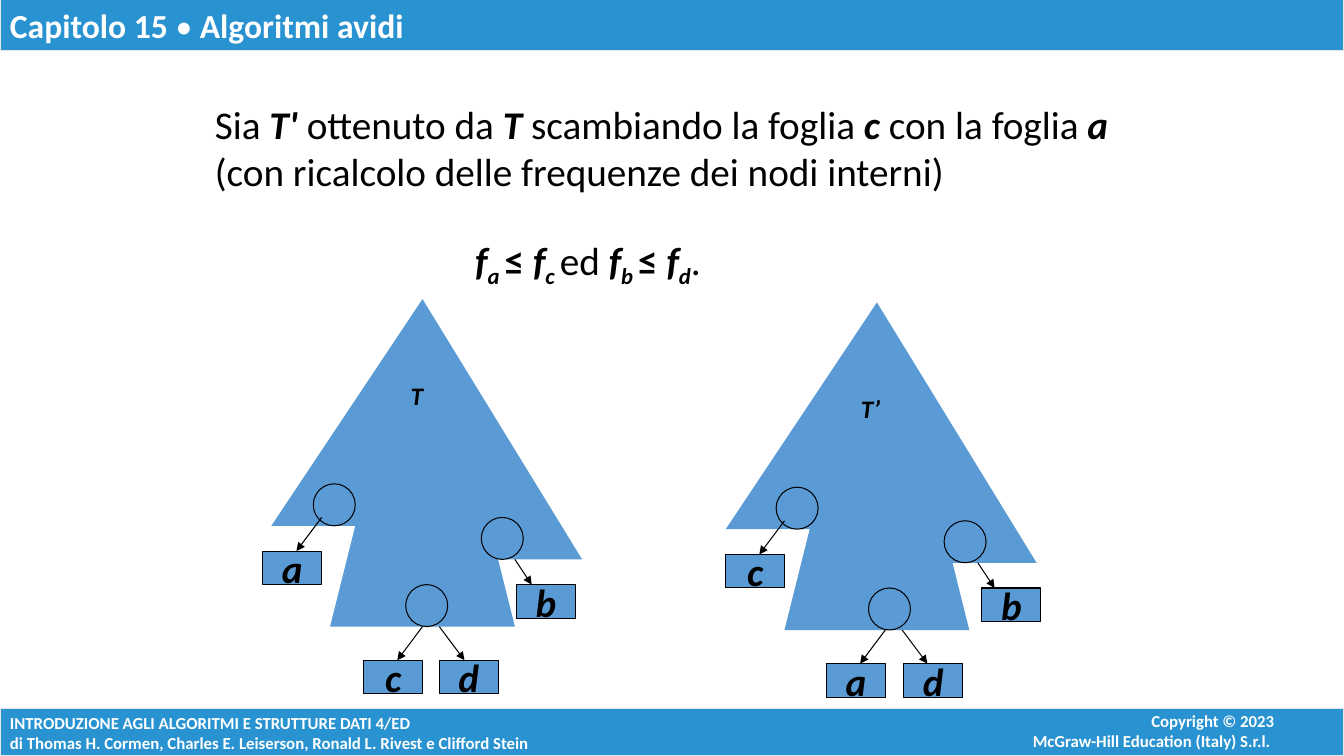
"""Build the slide on exchanging two leaves of a greedy code tree."""
from lxml.etree import SubElement
from pptx import Presentation
from pptx.dml.color import RGBColor
from pptx.enum.shapes import MSO_CONNECTOR, MSO_SHAPE
from pptx.enum.text import MSO_ANCHOR, PP_ALIGN
from pptx.oxml.ns import qn
from pptx.util import Inches, Pt

THEME = {
    "font": "Calibri",
    "bar": RGBColor.from_string("2993D1"),
    "bar_edge": RGBColor.from_string("E7E6E6"),
    "tree": RGBColor.from_string("5B9BD5"),
    "ink": RGBColor.from_string("000000"),
    "light": RGBColor.from_string("FFFFFF"),
    "header": Pt(24), "body": Pt(28), "label": Pt(18), "footer": Pt(12),
    "line": Pt(0.75),
}
COLUMNS, ROWS = 160, 90
UNIT = Inches(1 / 12)
LEAF_WIDTH, LEAF_HEIGHT, NODE_SIZE = 7, 4, 5

presentation = Presentation()
presentation.slide_width = COLUMNS * UNIT
presentation.slide_height = ROWS * UNIT
slide = presentation.slides.add_slide(presentation.slide_layouts[6])
shapes = slide.shapes


def add_box(preset, column, row, width, height, fill, edge):
    """Add a preset shape, or a text box without a preset, on the grid."""
    place = [round(length * UNIT) for length in (column, row, width, height)]
    if preset is None:
        return shapes.add_textbox(*place)
    shape = shapes.add_shape(preset, *place)
    shape.shadow.inherit = False
    shape.fill.solid()
    shape.fill.fore_color.rgb = fill
    shape.line.color.rgb = edge
    shape.line.width = THEME["line"]
    return shape


def write(shape, paragraphs, size, color, style="", align=PP_ALIGN.LEFT, anchor=MSO_ANCHOR.TOP, wrap=True):
    """Write paragraphs of (text, style) runs; styles are b, i and s for subscript."""
    frame = shape.text_frame
    frame.word_wrap = wrap
    frame.vertical_anchor = anchor
    for index, runs in enumerate(paragraphs):
        paragraph = frame.add_paragraph() if index else frame.paragraphs[0]
        paragraph.alignment = align
        font = paragraph.font
        font.name, font.size, font.color.rgb = THEME["font"], size, color
        font.bold, font.italic = "b" in style, "i" in style
        if isinstance(runs, str):
            paragraph.add_line_break() if not runs else None
            for line_index, line in enumerate(runs.split("\n")):
                if line_index:
                    paragraph.add_line_break()
                paragraph.add_run().text = line
            continue
        for text, run_style in runs:
            run = paragraph.add_run()
            run.text = text
            run.font.bold, run.font.italic = "b" in run_style, "i" in run_style
            if "s" in run_style:
                run._r.get_or_add_rPr().set("baseline", "-25000")


footer = add_box(MSO_SHAPE.RECTANGLE, 0, 84.4, COLUMNS, 5.6, THEME["bar"], THEME["bar_edge"])
write(footer, ["INTRODUZIONE AGLI ALGORITMI E STRUTTURE DATI 4/ED\n"
               "di Thomas H. Cormen, Charles E. Leiserson, Ronald L. Rivest e Clifford Stein"],
      THEME["footer"], THEME["light"], "b", anchor=MSO_ANCHOR.MIDDLE)
rights = add_box(None, 106.7, 84, 46.2, 6, None, None)
write(rights, ["Copyright © 2023", "McGraw-Hill Education (Italy) S.r.l. "],
      THEME["footer"], THEME["light"], "b", PP_ALIGN.RIGHT)
header = add_box(MSO_SHAPE.RECTANGLE, 0, 0, COLUMNS, 6, THEME["bar"], THEME["bar_edge"])
write(header, [[("Capitolo 15 ", "b"), ("•", ""), (" Algoritmi avidi", "b")]],
      THEME["header"], THEME["light"])

OUTLINE = [(18, 0), (0, 27), (10, 27), (7, 39), (29, 39), (27, 31), (37, 31)]
NODES = [(25, 26), (5, 22), (16, 34)]
ARROWS = [(6, 26, 3, 30), (18, 39, 15, 43), (20, 39, 23, 43), (29, 31, 31, 34)]
TREES = [
    {"left": 32.3, "top": 35.6, "shift": 0, "label": ("T", 15.4, 9.1),
     "leaves": [("c", 11, 43), ("b", 29.2, 34), ("a", -1, 30), ("d", 20, 43)]},
    {"left": 86.4, "top": 36, "shift": 1, "label": ("T’", 13.9, 10.2),
     "leaves": [("a", 11, 43), ("b", 29.5, 34), ("c", -1, 30), ("d", 20.2, 43)]},
]

for tree in TREES:
    left, top = tree["left"], tree["top"]
    builder = shapes.build_freeform(*OUTLINE[0], scale=UNIT)
    builder.add_line_segments(OUTLINE[1:], close=True)
    outline = builder.convert_to_shape(round(left * UNIT), round(top * UNIT))
    outline.shadow.inherit = False
    outline.fill.solid()
    outline.fill.fore_color.rgb = THEME["tree"]
    outline.line.fill.background()

    left += tree["shift"]
    for name, column, row in tree["leaves"]:
        leaf = add_box(MSO_SHAPE.RECTANGLE, left + column, top + row, LEAF_WIDTH, LEAF_HEIGHT,
                       THEME["tree"], THEME["ink"])
        write(leaf, [name], THEME["body"], THEME["ink"], "bi", PP_ALIGN.CENTER, MSO_ANCHOR.MIDDLE, False)
    for column, row in NODES:
        add_box(MSO_SHAPE.OVAL, left + column, top + row, NODE_SIZE, NODE_SIZE, THEME["tree"], THEME["ink"])
    for start_column, start_row, end_column, end_row in ARROWS:
        ends = (left + start_column, top + start_row, left + end_column, top + end_row)
        arrow = shapes.add_connector(MSO_CONNECTOR.STRAIGHT, *[round(end * UNIT) for end in ends])
        arrow.line.color.rgb = THEME["ink"]
        arrow.line.width = THEME["line"]
        SubElement(arrow.line._get_or_add_ln(), qn("a:tailEnd"), type="triangle")
        SubElement(arrow._element.spPr, qn("a:effectLst"))
    name, column, row = tree["label"]
    label = add_box(None, left + column, top + row, 6, 7.7, None, None)
    write(label, [name], THEME["label"], THEME["ink"], "bi", wrap=False)

statement = add_box(None, 24.4, 11.3, 111.1, 12.5, None, None)
write(statement, [[("Sia ", ""), ("T' ", "bi"), ("ottenuto da ", ""), ("T", "bi"),
                   (" scambiando la foglia ", ""), ("c", "bi"), (" con la foglia ", ""), ("a", "bi"),
                   (" (con ricalcolo delle frequenze dei nodi interni)", "")]],
      THEME["body"], THEME["ink"])
formula = add_box(None, 55.4, 27.5, 48.2, 6.9, None, None)
write(formula, [[("f", "bi"), ("a ", "bis"), ("≤ ", "b"), ("f", "bi"), ("c ", "bis"), ("ed ", ""),
                 ("f", "bi"), ("b ", "bis"), ("≤ ", "b"), ("f", "bi"), ("d", "bis"), (".", "")]],
      THEME["body"], THEME["ink"])

presentation.save("out.pptx")
